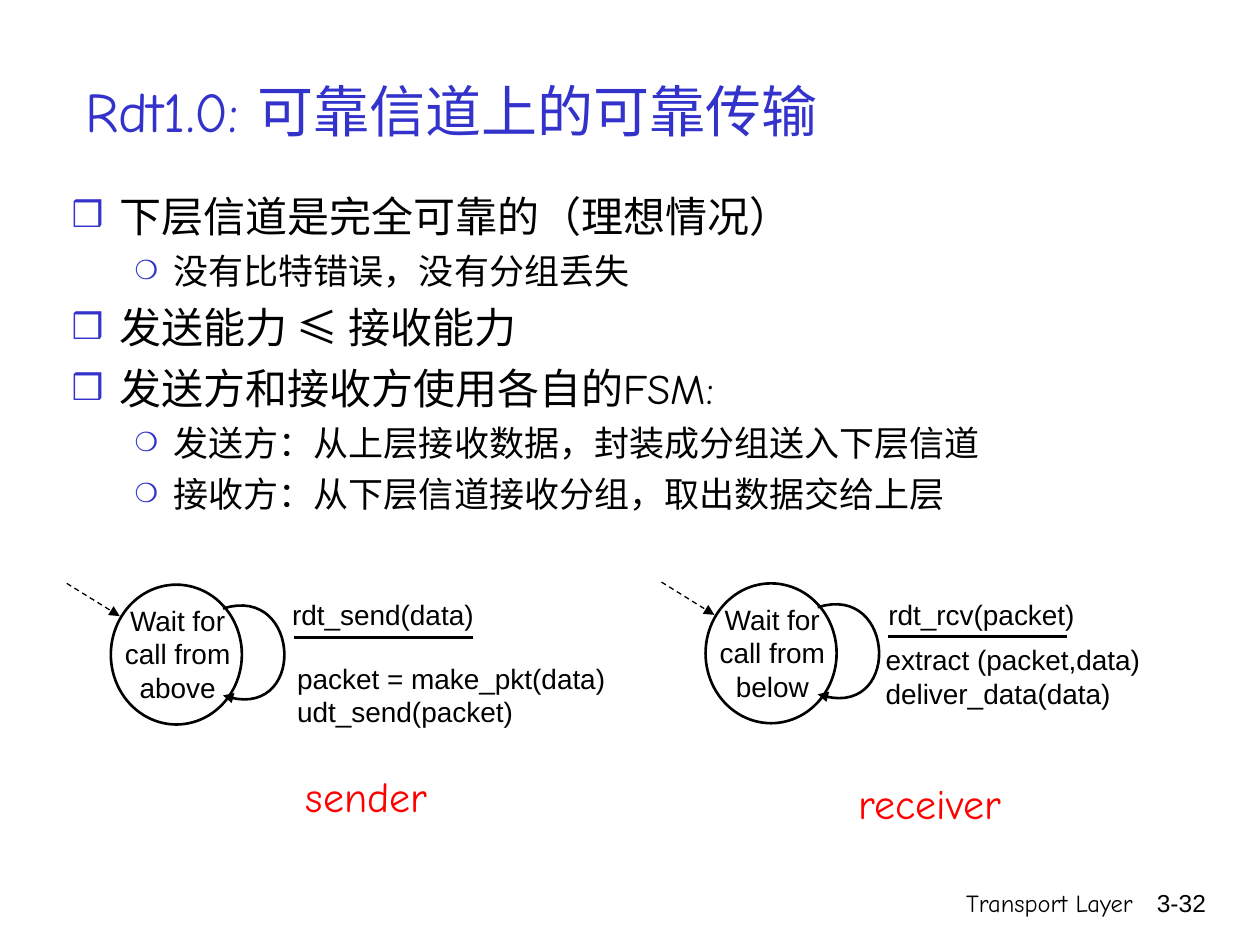
from pptx import Presentation
from pptx.dml.color import RGBColor
from pptx.enum.dml import MSO_LINE
from pptx.enum.shapes import MSO_CONNECTOR, MSO_SHAPE
from pptx.enum.text import MSO_ANCHOR, MSO_AUTO_SIZE, PP_ALIGN
from pptx.oxml.ns import qn
from pptx.util import Inches, Pt
from lxml.etree import SubElement

COLORS = {"ink": "000000", "blue": "3333CC", "red": "FF0000", "paper": "FFFFFF"}
SANS, COMIC = "Arial", "Comic Neue"
LEFT, CENTER, RIGHT = PP_ALIGN.LEFT, PP_ALIGN.CENTER, PP_ALIGN.RIGHT
LEVELS = [
    dict(size=24, margin=0.38, indent=-0.38, before=6, char="❒", percent=85),
    dict(size=20, margin=0.81, indent=-0.31, before=5, char="❍", percent=75),
]
BULLETS = [
    (0, "下层信道是完全可靠的（理想情况）"),
    (1, "没有比特错误，没有分组丢失"),
    (0, "发送能力 ≤ 接收能力"),
    (0, "发送方和接收方使用各自的FSM:"),
    (1, "发送方：从上层接收数据，封装成分组送入下层信道"),
    (1, "接收方：从下层信道接收分组，取出数据交给上层"),
]


def rgb(name):
    return RGBColor.from_string(COLORS[name])


class Deck:
    """Slide style and the element builders for the current slide."""

    def __init__(self, prs):
        self.s = prs.slides.add_slide(prs.slide_layouts[6])

    def frame(self, x, y, w, h, wrap=True, anchor=MSO_ANCHOR.TOP):
        tf = self.s.shapes.add_textbox(Inches(x), Inches(y), Inches(w), Inches(h)).text_frame
        tf.word_wrap = wrap
        if not wrap:
            tf.auto_size = MSO_AUTO_SIZE.SHAPE_TO_FIT_TEXT
        tf.vertical_anchor = anchor
        return tf

    def run(self, p, text, size, font, color):
        r = p.add_run()
        r.text = text
        r.font.size = Pt(size)
        r.font.name = font
        r.font.color.rgb = rgb(color)

    def text(self, box, lines, size=16, font=SANS, color="ink", align=LEFT, **options):
        tf = self.frame(*box, **options)
        for i, line in enumerate(lines):
            p = tf.add_paragraph() if i else tf.paragraphs[0]
            p.alignment = align
            self.run(p, line, size, font, color)

    def bullets(self, box, items):
        tf = self.frame(*box)
        for i, (level, text) in enumerate(items):
            style = LEVELS[level]
            p = tf.add_paragraph() if i else tf.paragraphs[0]
            p.level = level
            pPr = p._p.get_or_add_pPr()
            pPr.set("marL", str(Inches(style["margin"])))
            pPr.set("indent", str(Inches(style["indent"])))
            clr = SubElement(pPr, qn("a:buClr"))
            SubElement(clr, qn("a:srgbClr"), val=COLORS["blue"])
            SubElement(pPr, qn("a:buSzPct"), val=str(style["percent"] * 1000))
            SubElement(pPr, qn("a:buFont"), typeface=SANS)
            SubElement(pPr, qn("a:buChar"), char=style["char"])
            if i:
                p.space_before = Pt(style["before"])
            self.run(p, text, style["size"], COMIC, "ink")

    def stroke(self, sp, width, arrow=False):
        sp.line.color.rgb = rgb("ink")
        sp.line.width = Pt(width)
        if arrow:
            SubElement(sp.line._get_or_add_ln(), qn("a:tailEnd"), type="triangle")

    def line(self, x1, y1, x2, y2, width=1.5, dashed_arrow=False):
        c = self.s.shapes.add_connector(
            MSO_CONNECTOR.STRAIGHT, Inches(x1), Inches(y1), Inches(x2), Inches(y2))
        if dashed_arrow:
            c.line.dash_style = MSO_LINE.DASH
        self.stroke(c, width, dashed_arrow)
        SubElement(c._element.spPr, qn("a:effectLst"))

    def circle(self, x, y, w, h):
        sp = self.s.shapes.add_shape(
            MSO_SHAPE.OVAL, Inches(x), Inches(y), Inches(w), Inches(h))
        sp.shadow.inherit = False
        sp.fill.solid()
        sp.fill.fore_color.rgb = rgb("paper")
        self.stroke(sp, 1.5)

    def curve(self, a, b, c, d, steps=32):
        points = []
        for i in range(steps + 1):
            t = i / steps
            u = 1 - t
            weights = (u ** 3, 3 * u * u * t, 3 * u * t * t, t ** 3)
            points.append(tuple(
                Inches(sum(k * v for k, v in zip(weights, axis))) for axis in zip(a, b, c, d)))
        fb = self.s.shapes.build_freeform(*points[0])
        fb.add_line_segments(points[1:], close=False)
        sp = fb.convert_to_shape()
        sp.shadow.inherit = False
        sp.fill.background()
        self.stroke(sp, 1.5, arrow=True)

    def machine(self, x, y, state):
        self.circle(x, y, 1.04, 1.11)
        self.text((x - 0.07, y + 0.1, 1.2, 1), [state], align=CENTER)
        loop = [(0.89, 0.19), (1.52, -0.01), (1.56, 1.11), (0.89, 0.88)]
        self.curve(*[(x + dx, y + dy) for dx, dy in loop])
        self.line(x + 1.45, y + 0.42, x + 2.87, y + 0.42)
        self.line(x - 0.35, y - 0.01, x + 0.07, y + 0.25, 0.75, dashed_arrow=True)


def main():
    prs = Presentation()
    prs.slide_width, prs.slide_height = Inches(10), Inches(7.5)
    deck = Deck(prs)
    deck.text((5.92, 7, 3.17, 0.5), ["Transport Layer"], 14, COMIC, align=RIGHT)
    deck.text((8.93, 7, 0.74, 0.5), ["3-32"], 14, align=RIGHT)
    deck.text((0.58, 0.25, 8.75, 1.25), ["Rdt1.0: 可靠信道上的可靠传输"], 32, COMIC, "blue",
              anchor=MSO_ANCHOR.MIDDLE)
    deck.bullets((0.47, 1.46, 8.64, 2.86), BULLETS)

    deck.machine(0.88, 4.64, "Wait for call from above")
    deck.text((2.22, 4.69, 2.47, 0.47), ["rdt_send(data)"])
    deck.text((2.26, 5.2, 2.93, 0.65), ["packet = make_pkt(data)", "udt_send(packet)"])

    deck.machine(5.6, 4.63, "Wait for call from below")
    deck.text((6.95, 4.69, 1.68, 0.37), ["rdt_rcv(packet)"], align=CENTER, wrap=False)
    deck.text((6.93, 5.05, 2.72, 0.47), ["extract (packet,data)", "deliver_data(data)"])

    for box, role in [((2.3, 6.07, 1.22, 0.5), "sender"), ((6.68, 6.12, 1.4, 0.5), "receiver")]:
        deck.text(box, [role], 24, COMIC, "red", CENTER, wrap=False)
    prs.save("out.pptx")


if __name__ == "__main__":
    main()
